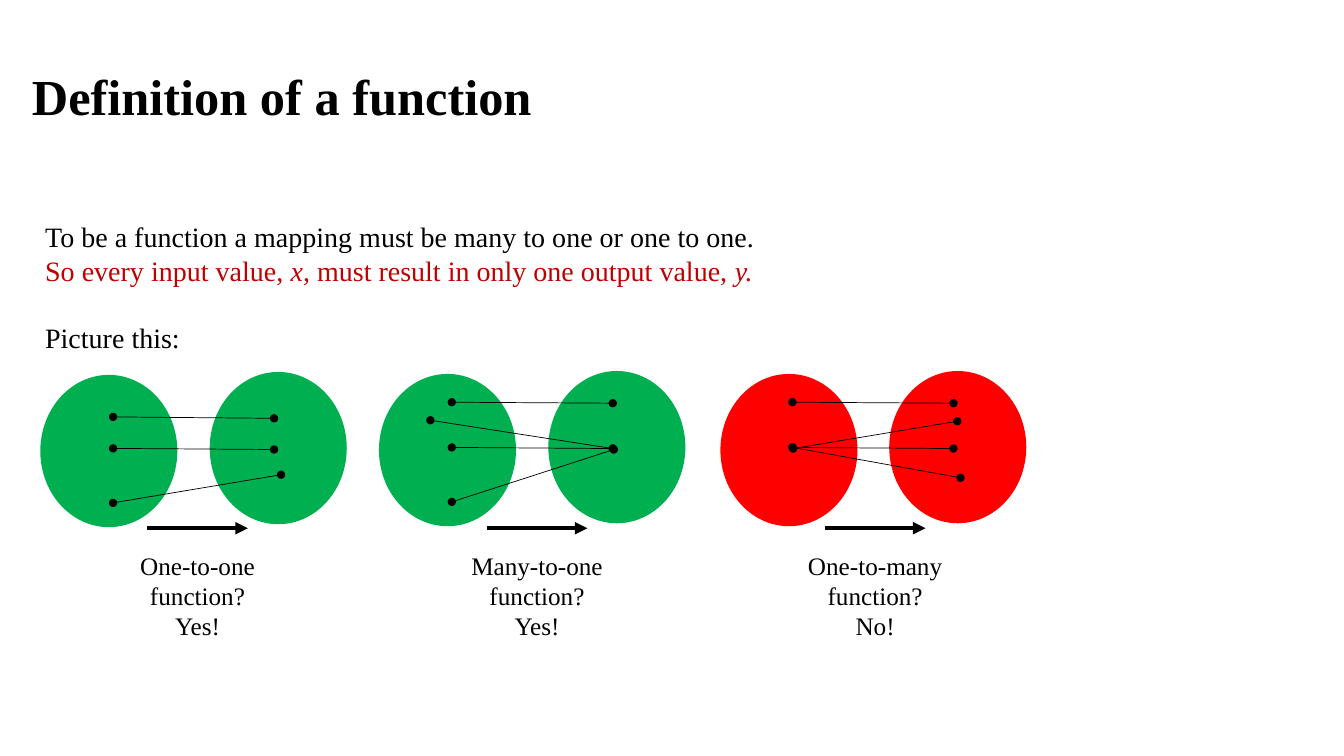
from pptx import Presentation
from pptx.dml.color import RGBColor
from pptx.enum.shapes import MSO_CONNECTOR, MSO_SHAPE
from pptx.enum.text import MSO_ANCHOR, PP_ALIGN
from pptx.oxml.ns import qn
from pptx.util import Pt
from lxml.etree import SubElement

BLACK = RGBColor(0x00, 0x00, 0x00)
DARK_RED = RGBColor(0xC0, 0x00, 0x00)
GREEN = RGBColor(0x00, 0xB0, 0x50)
RED = RGBColor(0xFF, 0x00, 0x00)

FONT = "Times New Roman"
SET_WIDTH, SET_HEIGHT = 97.9, 108.8
ARROW_LENGTH, ARROW_TOP = 72, 377.3
CAPTION_WIDTH = 112

MAPPINGS = [
    dict(
        left=28.8, top=267.8, set_gap=121, arrow_left=105.1, color=GREEN,
        caption=["One-to-one", "function?", "Yes!"],
        pairs=[((52, 30), (167, 31)), ((52, 52.5), (167, 53.3)), ((52, 91.4), (172, 71.3))],
    ),
    dict(
        left=270.7, top=267.1, set_gap=121, arrow_left=347.6, color=GREEN,
        caption=["Many-to-one", "function?", "Yes!"],
        pairs=[
            ((52, 20.2), (167, 20.9)), ((52, 52.5), (167, 53.3)),
            ((52, 91.4), (167.8, 54)), ((36.7, 33.1), (167, 53.3)),
        ],
    ),
    dict(
        left=514.6, top=267.1, set_gap=120.6, arrow_left=589.1, color=RED,
        caption=["One-to-many", "function?", "No!"],
        pairs=[
            ((51.5, 20.2), (166.5, 20.9)), ((51.5, 52.5), (166.5, 53.3)),
            ((51.5, 52.5), (171.5, 74.2)), ((52, 53.3), (169.2, 33.8)),
        ],
    ),
]


def add_text(slide, paragraphs, left, top, width, height, size, bold=False,
             align=PP_ALIGN.LEFT, anchor=MSO_ANCHOR.TOP, line_spacing=None, gaps=None):
    """Each paragraph is a list of (text, color, italic) runs."""
    box = slide.shapes.add_textbox(Pt(left), Pt(top), Pt(width), Pt(height))
    frame = box.text_frame
    frame.word_wrap = True
    frame.vertical_anchor = anchor
    for index, runs in enumerate(paragraphs):
        paragraph = frame.add_paragraph() if index else frame.paragraphs[0]
        paragraph.alignment = align
        if line_spacing:
            paragraph.line_spacing = line_spacing
        if gaps and index in gaps:
            paragraph.space_before = Pt(gaps[index])
        for text, color, italic in runs:
            run = paragraph.add_run()
            run.text = text
            run.font.name = FONT
            run.font.size = Pt(size)
            run.font.bold = bold
            run.font.italic = italic
            run.font.color.rgb = color


def add_set(slide, left, top, color):
    shape = slide.shapes.add_shape(
        MSO_SHAPE.OVAL, Pt(left), Pt(top), Pt(SET_WIDTH), Pt(SET_HEIGHT))
    shape.shadow.inherit = False
    shape.fill.solid()
    shape.fill.fore_color.rgb = color
    shape.line.fill.background()


def add_line(slide, start, end, width, tail, head=None):
    connector = slide.shapes.add_connector(
        MSO_CONNECTOR.STRAIGHT, *(Pt(value) for value in (*start, *end)))
    connector.line.color.rgb = BLACK
    connector.line.width = Pt(width)
    line = connector.line._get_or_add_ln()
    if head:
        SubElement(line, qn("a:headEnd"), type=head)
    SubElement(line, qn("a:tailEnd"), type=tail)
    SubElement(connector._element.spPr, qn("a:effectLst"))


def add_mapping(slide, left, top, set_gap, arrow_left, color, caption, pairs):
    add_set(slide, left, top, color)
    add_set(slide, left + set_gap, top - 2.1, color)
    for start, end in pairs:
        add_line(slide, (left + start[0], top + start[1]), (left + end[0], top + end[1]),
                 0.5, "oval", head="oval")
    add_line(slide, (arrow_left, ARROW_TOP), (arrow_left + ARROW_LENGTH, ARROW_TOP),
             3, "triangle")
    add_text(slide, [[(text, BLACK, False)] for text in caption],
             arrow_left + (ARROW_LENGTH - CAPTION_WIDTH) / 2, 389.5, CAPTION_WIDTH, 72.7,
             18, align=PP_ALIGN.CENTER)


def main():
    presentation = Presentation()
    presentation.slide_width = Pt(960)
    presentation.slide_height = Pt(540)
    slide = presentation.slides.add_slide(presentation.slide_layouts[6])

    add_text(slide, [[("Definition of a function", BLACK, False)]],
             15.8, 18.7, 828, 104.4, 36, bold=True,
             anchor=MSO_ANCHOR.MIDDLE, line_spacing=0.9)
    add_text(slide, [
        [("To be a function a mapping must be many to one or one to one.", BLACK, False)],
        [
            ("So every input value, ", DARK_RED, False),
            ("x, ", DARK_RED, True),
            ("must result in only one output value, ", DARK_RED, False),
            ("y.", DARK_RED, True),
        ],
        [("Picture this:", BLACK, False)],
    ], 25.2, 153.6, 674.6, 115.7, 20, gaps={2: 24})
    for mapping in MAPPINGS:
        add_mapping(slide, **mapping)

    presentation.save("out.pptx")


if __name__ == "__main__":
    main()
